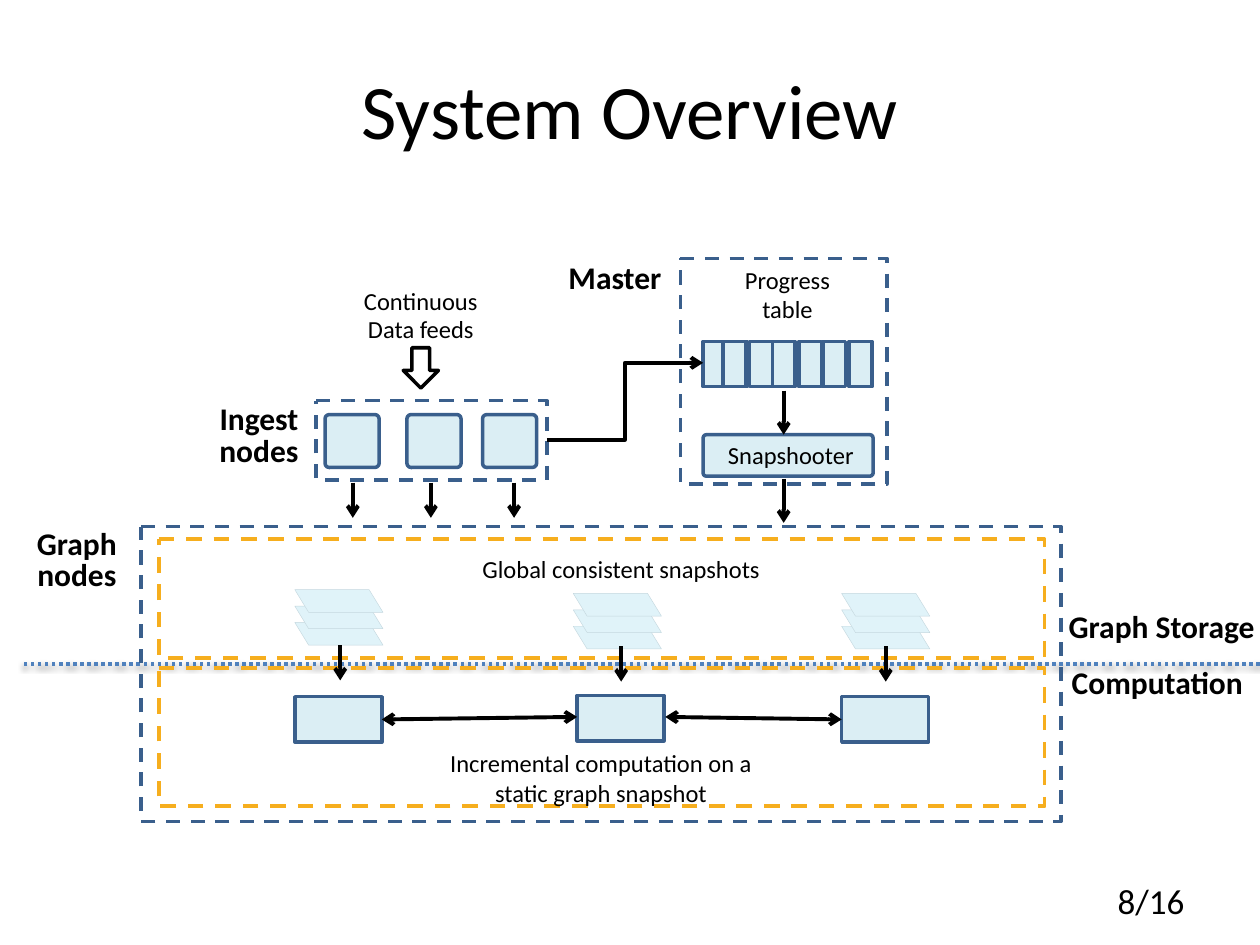
from dataclasses import dataclass
from typing import Optional

from lxml.etree import SubElement
from pptx import Presentation
from pptx.dml.color import RGBColor
from pptx.enum.dml import MSO_LINE
from pptx.enum.shapes import MSO_CONNECTOR, MSO_SHAPE
from pptx.enum.text import MSO_ANCHOR, PP_ALIGN
from pptx.oxml.ns import qn
from pptx.util import Inches, Pt


@dataclass(frozen=True)
class Theme:
    font: str = "Calibri"
    ink: str = "000000"
    white: str = "FFFFFF"
    pale: str = "DBEEF4"
    sheet: str = "E0F3F9"
    sheet_edge: str = "C5D8DF"
    navy: str = "3A5F8C"
    amber: str = "F6AE1E"
    divider: str = "4F81BD"
    title: int = 44
    page: int = 20
    heading: int = 18
    body: int = 14


@dataclass(frozen=True)
class Box:
    x: float
    y: float
    w: float
    h: float
    fill: Optional[str] = None
    line: str = "3A5F8C"
    weight: float = 2
    dashed: bool = False
    corner: float = 0
    preset: MSO_SHAPE = MSO_SHAPE.ROUNDED_RECTANGLE


@dataclass(frozen=True)
class Label:
    text: str
    x: float
    y: float
    w: float
    h: float
    size: int
    bold: bool = False
    spacing: Optional[float] = None


@dataclass(frozen=True)
class Arrow:
    x1: float
    y1: float
    x2: float
    y2: float
    double: bool = False
    kind: MSO_CONNECTOR = MSO_CONNECTOR.STRAIGHT


theme = Theme()
deck = Presentation()
deck.slide_width, deck.slide_height = Inches(10), Inches(7.5)
slide = deck.slides.add_slide(deck.slide_layouts[5])


def color(value: str) -> RGBColor:
    return RGBColor.from_string(value)


def write(shape, text: str, size: int, align=PP_ALIGN.CENTER, bold=False,
          spacing=None, after: float = 10) -> None:
    frame = shape.text_frame
    frame.word_wrap = True
    frame.text = text
    paragraph = frame.paragraphs[0]
    paragraph.alignment = align
    paragraph.space_after = Pt(after)
    if spacing:
        paragraph.line_spacing = spacing
    font = paragraph.runs[0].font
    font.name, font.size, font.bold = theme.font, Pt(size), bold
    font.color.rgb = color(theme.ink)


def add_label(label: Label):
    area = slide.shapes.add_textbox(*map(Inches, (label.x, label.y, label.w, label.h)))
    write(area, label.text, label.size, bold=label.bold, spacing=label.spacing)


def paint(shape, fill: Optional[str], line: str, weight: float) -> None:
    shape.shadow.inherit = False
    if fill:
        shape.fill.solid()
        shape.fill.fore_color.rgb = color(fill)
    else:
        shape.fill.background()
    shape.line.color.rgb = color(line)
    shape.line.width = Pt(weight)


def add_box(box: Box):
    shape = slide.shapes.add_shape(box.preset, *map(Inches, (box.x, box.y, box.w, box.h)))
    paint(shape, box.fill, box.line, box.weight)
    if box.preset == MSO_SHAPE.ROUNDED_RECTANGLE:
        shape.adjustments[0] = box.corner
    if box.dashed:
        shape.line.dash_style = MSO_LINE.DASH
    return shape


def add_line(arrow: Arrow, line: str, weight: float):
    connector = slide.shapes.add_connector(
        arrow.kind, *map(Inches, (arrow.x1, arrow.y1, arrow.x2, arrow.y2)))
    connector.line.color.rgb = color(line)
    connector.line.width = Pt(weight)
    effects = SubElement(connector._element.spPr, qn("a:effectLst"))
    return connector, effects


def add_arrow(arrow: Arrow) -> None:
    connector, _ = add_line(arrow, theme.ink, 2.25)
    ln = connector.line._get_or_add_ln()
    for end in ("a:headEnd", "a:tailEnd") if arrow.double else ("a:tailEnd",):
        SubElement(ln, qn(end), type="arrow")


def add_sheet(center: float, top: float) -> None:
    left, width, height, slant = center - 0.35, 0.7, 0.18, 0.11
    builder = slide.shapes.build_freeform(Inches(left), Inches(top))
    corners = ((left + width - slant, top), (left + width, top + height),
               (left + slant, top + height))
    builder.add_line_segments([(Inches(x), Inches(y)) for x, y in corners], close=True)
    paint(builder.convert_to_shape(), theme.sheet, theme.sheet_edge, 0.25)


divider, divider_effects = add_line(Arrow(10, 5.27, 0.18, 5.27), theme.divider, 2)
divider.line.dash_style = MSO_LINE.ROUND_DOT
shadow = SubElement(divider_effects, qn("a:outerShdw"), blurRad=str(Pt(3.1)),
                    dist=str(Pt(1.6)), dir="5400000", rotWithShape="0")
shade = SubElement(shadow, qn("a:srgbClr"), val=theme.ink)
SubElement(shade, qn("a:alpha"), val="38000")

title = slide.shapes.title
title.left, title.top, title.width, title.height = map(Inches, (0.5, 0.45, 9, 0.82))
write(title, "System Overview", theme.title, after=0)
title.text_frame.vertical_anchor = MSO_ANCHOR.MIDDLE

page = slide.shapes.add_textbox(*map(Inches, (7.17, 6.95, 2.33, 0.4)))
write(page, "8/16", theme.page, PP_ALIGN.RIGHT, after=0)
page.text_frame.vertical_anchor = MSO_ANCHOR.MIDDLE

frames = [
    Box(2.51, 3.18, 1.83, 0.63, dashed=True),
    Box(1.12, 4.18, 7.3, 2.34, dashed=True),
    Box(1.26, 5.3, 7.03, 1.1, line=theme.amber, weight=2.25, dashed=True),
    Box(1.26, 4.28, 7.03, 0.94, line=theme.amber, weight=2.25, dashed=True),
]
ingest_nodes = [Box(x, 3.29, 0.43, 0.42, theme.pale, corner=0.08) for x in (2.58, 3.23, 3.83)]
feed_arrow = Box(3.2, 2.76, 0.28, 0.32, theme.white, theme.ink, preset=MSO_SHAPE.DOWN_ARROW)
compute_nodes = [Box(x, y, 0.69, 0.36, theme.pale)
                 for x, y in ((2.34, 5.53), (4.58, 5.52), (6.68, 5.53))]
progress_cells = [Box(5.58, 2.71, 0.35, 0.36, theme.pale)] + [
    Box(x, 2.71, 0.18, 0.36, theme.pale) for x in (5.74, 5.95, 6.13, 6.34, 6.53, 6.74)]
for box in [*frames, *ingest_nodes, feed_arrow, *compute_nodes, *progress_cells]:
    add_box(box)

for center, top in ((2.69, 4.68), (4.9, 4.71), (7.03, 4.71)):
    for level in (2, 1, 0):
        add_sheet(center, top + 0.13 * level)

snapshooter = add_box(Box(5.58, 3.45, 1.35, 0.33, theme.pale, corner=0.08))
write(snapshooter, "\u00a0Snapshooter", theme.body, spacing=1.15)
snapshot_frame = snapshooter.text_frame
snapshot_frame.vertical_anchor = MSO_ANCHOR.MIDDLE
snapshot_frame.margin_left = snapshot_frame.margin_right = snapshot_frame.margin_top = 0
snapshot_frame.margin_bottom = Inches(0.05)

flows = [Arrow(x, 3.83, x, 4.11) for x in (2.8, 3.42, 4.08)]
flows += [Arrow(6.22, y, 6.22, y + 0.35) for y in (3.1, 3.8)]
flows += [Arrow(x, y, x, y + 0.28) for x, y in ((2.7, 5.12), (4.93, 5.13), (7.03, 5.13))]
flows += [
    Arrow(3.03, 5.71, 4.58, 5.69, double=True),
    Arrow(5.28, 5.69, 6.68, 5.71, double=True),
    Arrow(4.34, 3.49, 5.58, 2.88, kind=MSO_CONNECTOR.ELBOW),
]
for flow in flows:
    add_arrow(flow)

add_box(Box(5.4, 2.05, 1.64, 1.79, dashed=True))

for label in (
    Label("Graph nodes", 0.1, 4.16, 1.02, 0.43, theme.heading, True, Pt(18)),
    Label("Ingest nodes", 1.6, 3.17, 0.91, 0.5, theme.heading, True, Pt(18)),
    Label("Master", 4.34, 2.05, 1.08, 0.5, theme.heading, True, Pt(18)),
    Label("Graph Storage", 8.15, 4.82, 2.14, 0.38, theme.heading, True, Pt(18)),
    Label("Computation", 8.29, 5.26, 1.79, 0.5, theme.heading, True, Pt(18)),
    Label("Continuous Data feeds", 2.67, 2.23, 1.34, 0.47, theme.body, spacing=Pt(16)),
    Label("Global consistent snapshots", 3.52, 4.31, 2.82, 0.36, theme.body, spacing=1.15),
    Label("Incremental computation on a static graph snapshot",
          3.31, 5.89, 2.92, 0.36, theme.body),
    Label("Progress table", 5.77, 2.05, 0.96, 0.38, theme.body),
):
    add_label(label)

deck.save("out.pptx")
